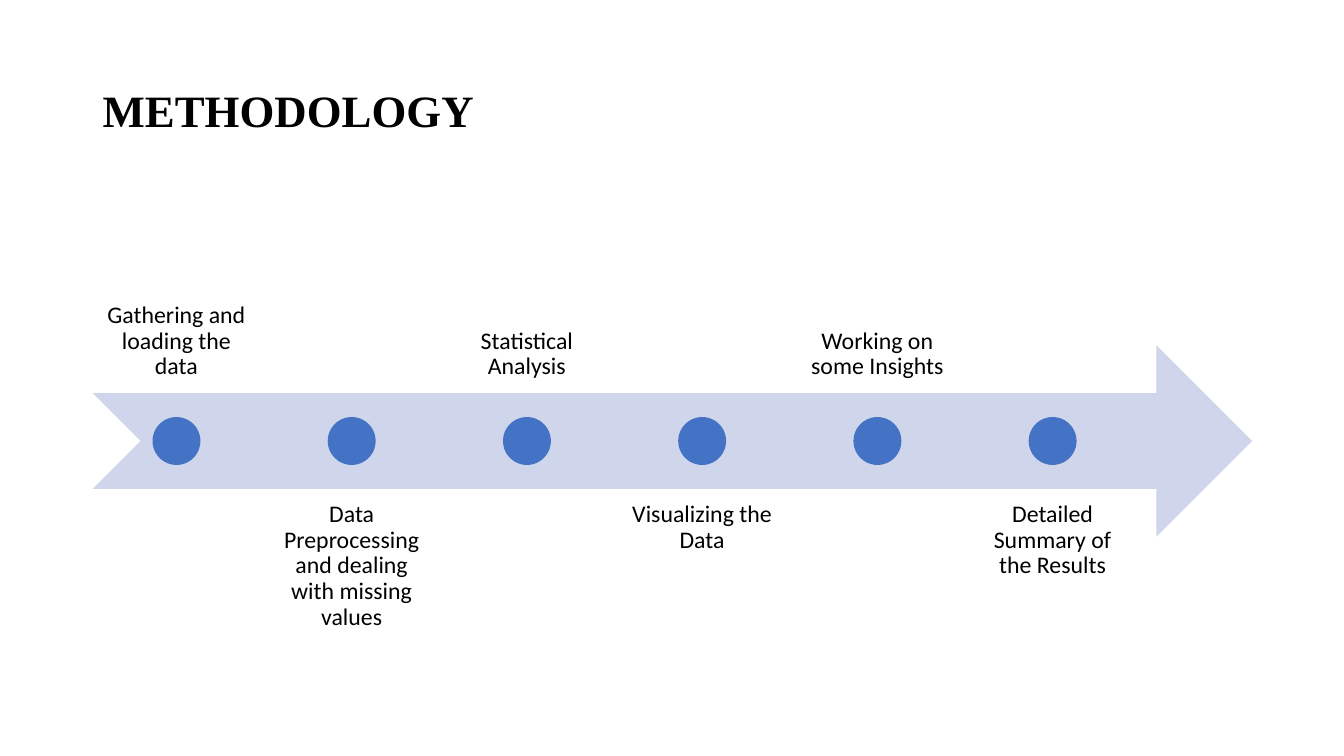
import pptx
import pptx.util
import pptx.dml.color
import pptx.enum.shapes
import pptx.enum.text
from dataclasses import dataclass

SHAPE = pptx.enum.shapes.MSO_SHAPE
ALIGN = pptx.enum.text.PP_ALIGN
ANCHOR = pptx.enum.text.MSO_ANCHOR
inch = pptx.util.Inches


@dataclass(frozen=True)
class Theme:
    ink: str = "000000"
    band: str = "CFD5EA"
    dot: str = "4472C4"
    head: str = "Times New Roman"
    body: str = "Calibri"
    big: int = 32
    small: int = 17


THEME = Theme()

# Grid: one column per step, rows measured from the band
WIDE, HIGH = 13.33, 7.5
LEFT, SPAN = 0.92, 11.5
STEP, COL = 1.738, 1.66
ROW = 1.9
TOP = 2.0
BAND = TOP + ROW * 0.75
LOW = TOP + ROW * 1.5
DOT = ROW / 4

STEPS = [
    "Gathering and loading the data",
    "Data Preprocessing and dealing with missing values",
    "Statistical Analysis",
    "Visualizing the Data",
    "Working on some Insights",
    "Detailed Summary of the Results",
]


def color(code):
    return pptx.dml.color.RGBColor.from_string(code)


def add_form(slide, kind, box, fill):
    form = slide.shapes.add_shape(kind, *map(inch, box))
    form.shadow.inherit = False
    form.fill.solid()
    form.fill.fore_color.rgb = color(fill)
    form.line.fill.background()


def add_text(slide, words, box, font, size, anchor, align, pad, bold=False):
    frame = slide.shapes.add_textbox(*map(inch, box)).text_frame
    frame.word_wrap = True
    frame.vertical_anchor = anchor
    side, edge = map(inch, pad)
    frame.margin_left = frame.margin_right = side
    frame.margin_top = frame.margin_bottom = edge
    para = frame.paragraphs[0]
    para.alignment = align
    para.line_spacing = 0.9
    run = para.add_run()
    run.text = words
    run.font.name = font
    run.font.size = pptx.util.Pt(size)
    run.font.bold = bold
    run.font.color.rgb = color(THEME.ink)


def add_step(slide, index, words):
    left = LEFT + index * STEP
    above = index % 2 == 0
    top, anchor = (TOP, ANCHOR.BOTTOM) if above else (LOW, ANCHOR.TOP)
    add_text(slide, words, (left, top, COL, ROW), THEME.body, THEME.small,
             anchor, ALIGN.CENTER, (0.13, 0.13))
    # Dot sits in the middle of its column and of the band
    add_form(slide, SHAPE.OVAL,
             (left + (COL - DOT) / 2, BAND + (ROW - DOT) / 2, DOT, DOT),
             THEME.dot)


def main():
    deck = pptx.Presentation()
    deck.slide_width, deck.slide_height = inch(WIDE), inch(HIGH)
    slide = deck.slides.add_slide(deck.slide_layouts[6])

    # Title
    add_text(slide, "METHODOLOGY", (LEFT, 0.4, SPAN, 1.45), THEME.head,
             THEME.big, ANCHOR.MIDDLE, ALIGN.LEFT, (0.1, 0.05), True)

    # Timeline arrow with its steps
    add_form(slide, SHAPE.NOTCHED_RIGHT_ARROW, (LEFT, BAND, SPAN, ROW),
             THEME.band)
    for index, words in enumerate(STEPS):
        add_step(slide, index, words)

    deck.save("out.pptx")


if __name__ == "__main__":
    main()
